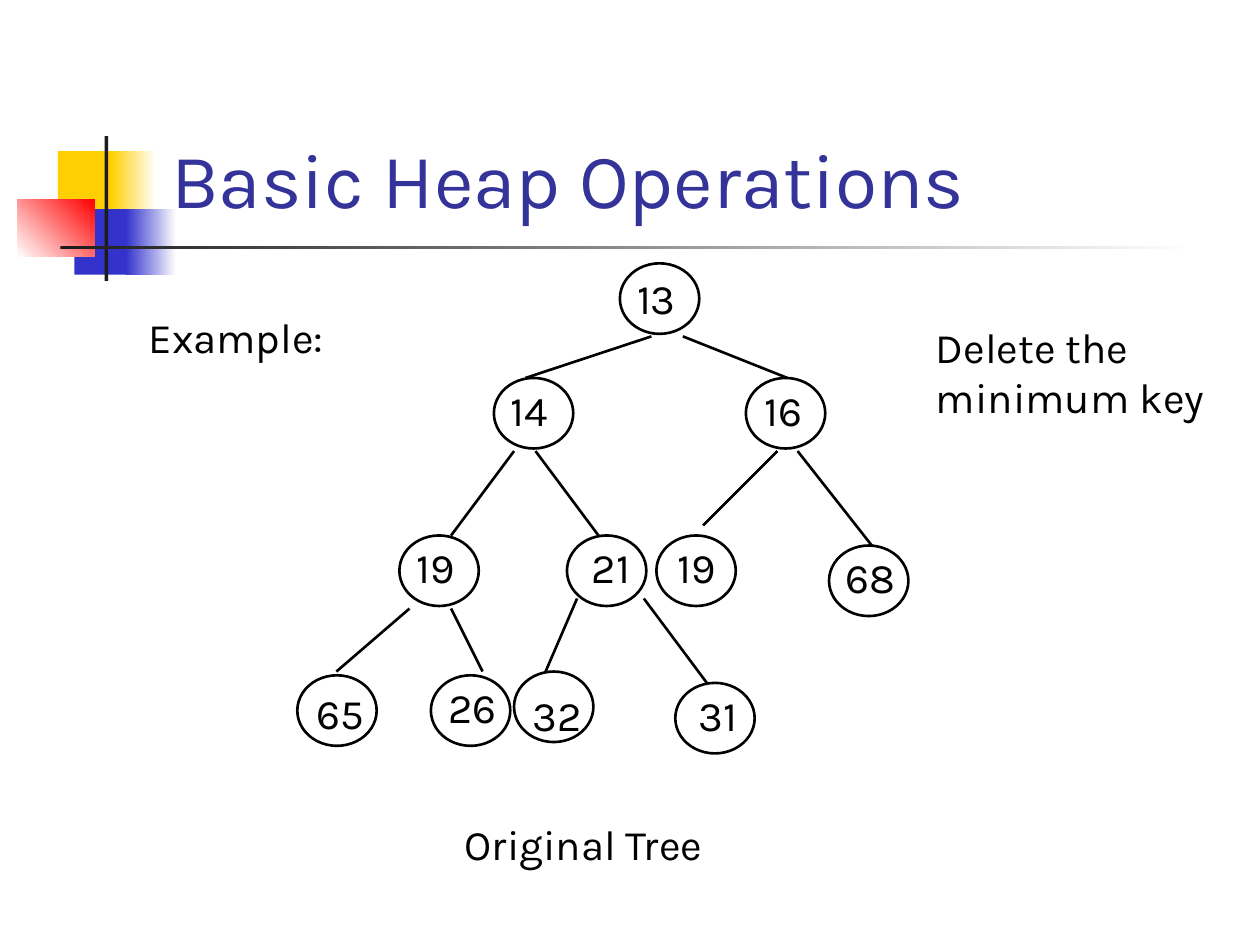
from pptx import Presentation
from pptx.dml.color import RGBColor
from pptx.enum.shapes import MSO_CONNECTOR as Connector, MSO_SHAPE as Shape
from pptx.enum.text import MSO_ANCHOR as Anchor, PP_ALIGN as Align
from pptx.oxml.ns import qn
from pptx.util import Inches, Pt
from lxml.etree import SubElement

BLACK = RGBColor(0x00, 0x00, 0x00)
WHITE = RGBColor(0xFF, 0xFF, 0xFF)
CHARCOAL = RGBColor(0x1C, 0x1C, 0x1C)
YELLOW = RGBColor(0xFF, 0xCF, 0x01)
BLUE = RGBColor(0x33, 0x33, 0xCC)
RED = RGBColor(0xFF, 0x00, 0x00)
INDIGO = RGBColor(0x33, 0x33, 0x99)

NODE_WIDTH, NODE_HEIGHT, LABEL_HEIGHT = 0.63, 0.56, 0.5

DECORATION = [
    ((0.46, 1.2, 0.48, 0.52), (YELLOW,), 0),
    ((0.88, 1.2, 0.36, 0.52), (YELLOW, WHITE), 0),
    ((0.59, 1.66, 0.46, 0.52), (BLUE,), 0),
    ((1, 1.66, 0.4, 0.52), (BLUE, WHITE), 0),
    ((0.14, 1.58, 0.61, 0.46), (WHITE, RED), 45),
    ((0.83, 1.08, 0.03, 1.15), (CHARCOAL,), 0),
    ((0.48, 1.95, 9, 0.03), (CHARCOAL, WHITE), 0),
]

CAPTIONS = [
    ("Delete the minimum key", (7.33, 2.5, 2.42, 0.9)),
    ("Original Tree", (3.59, 6.45, 3.08, 0.5)),
    ("Example:", (1.08, 2.42, 1.75, 0.5)),
]

# key, circle left and top, label centre and top
NODES = [
    ("13", 4.92, 2.09, 5.21, 2.11),
    ("14", 3.92, 3, 4.2, 3),
    ("16", 5.92, 3, 6.22, 3),
    ("19", 3.17, 4.25, 3.46, 4.25),
    ("21", 4.5, 4.25, 4.85, 4.25),
    ("19", 5.21, 4.25, 5.53, 4.25),
    ("68", 6.58, 4.33, 6.91, 4.33),
    ("65", 2.36, 5.36, 2.7, 5.41),
    ("26", 3.42, 5.36, 3.75, 5.36),
    ("32", 4.08, 5.33, 4.42, 5.42),
    ("31", 5.36, 5.42, 5.7, 5.42),
]

BRANCHES = [
    (5.17, 2.67, 4.17, 3),
    (5.42, 2.67, 6.25, 3),
    (4.08, 3.58, 3.58, 4.25),
    (4.25, 3.58, 4.75, 4.25),
    (6.17, 3.58, 5.58, 4.17),
    (6.33, 3.58, 6.92, 4.33),
    (3.25, 4.83, 2.67, 5.33),
    (3.58, 4.83, 3.83, 5.33),
    (4.58, 4.75, 4.33, 5.33),
    (5.11, 4.75, 5.61, 5.42),
]


class HeapSlide:
    """Draws the parts of a heap slide in one shared style."""

    font = "Karla"
    body_size = Pt(24)
    stroke = Pt(1.5)

    def __init__(self, slide):
        self.shapes = slide.shapes

    def block(self, box, colors, angle):
        block = self.shapes.add_shape(Shape.RECTANGLE, *map(Inches, box))
        block.shadow.inherit = False
        block.line.fill.background()
        if len(colors) == 1:
            block.fill.solid()
            block.fill.fore_color.rgb = colors[0]
            return
        block.fill.gradient()
        block.fill.gradient_angle = angle
        for stop, color in zip(block.fill.gradient_stops, colors):
            stop.color.rgb = color

    def text(self, words, box, size=body_size, color=BLACK, align=Align.LEFT, anchor=Anchor.TOP):
        frame = self.shapes.add_textbox(*map(Inches, box)).text_frame
        frame.word_wrap = True
        frame.vertical_anchor = anchor
        frame.text = words
        paragraph = frame.paragraphs[0]
        paragraph.alignment = align
        font = paragraph.runs[0].font
        font.name, font.size, font.color.rgb = self.font, size, color

    def node(self, key, left, top, label_center, label_top):
        circle = self.shapes.add_shape(
            Shape.OVAL, *map(Inches, (left, top, NODE_WIDTH, NODE_HEIGHT)))
        circle.shadow.inherit = False
        circle.fill.background()
        circle.line.color.rgb = BLACK
        circle.line.width = self.stroke
        label_width = 0.8
        self.text(key, (label_center - label_width / 2, label_top, label_width, LABEL_HEIGHT),
                  align=Align.CENTER)

    def branch(self, ends):
        branch = self.shapes.add_connector(Connector.STRAIGHT, *map(Inches, ends))
        branch.line.color.rgb = BLACK
        branch.line.width = self.stroke
        SubElement(branch._element.spPr, qn("a:effectLst"))


def main():
    deck = Presentation()
    deck.slide_width, deck.slide_height = Inches(10), Inches(7.5)
    heap = HeapSlide(deck.slides.add_slide(deck.slide_layouts[6]))
    for box, colors, angle in DECORATION:
        heap.block(box, colors, angle)
    heap.text("Basic Heap Operations", (1.26, 0.23, 8.52, 1.6), Pt(44), INDIGO,
              anchor=Anchor.BOTTOM)
    for words, box in CAPTIONS:
        heap.text(words, box)
    for ends in BRANCHES:
        heap.branch(ends)
    for node in NODES:
        heap.node(*node)
    deck.save("out.pptx")


if __name__ == "__main__":
    main()
